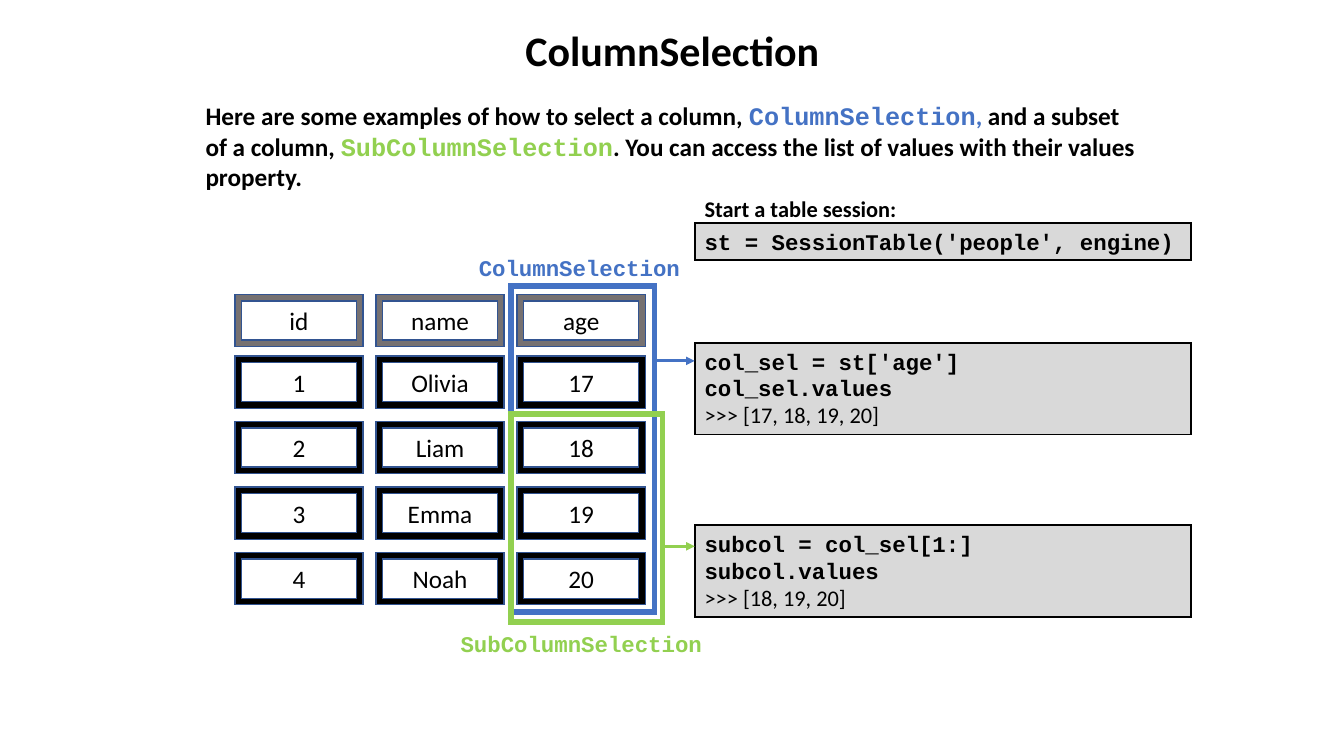
from lxml.etree import SubElement
from pptx import Presentation
from pptx.dml.color import RGBColor
from pptx.enum.shapes import MSO_CONNECTOR as Connector, MSO_SHAPE as Shape
from pptx.enum.text import MSO_ANCHOR as Anchor, MSO_AUTO_SIZE as AutoSize, PP_ALIGN as Align
from pptx.oxml.ns import qn
from pptx.util import Inches, Pt

BLACK = RGBColor(0x00, 0x00, 0x00)
BLUE = RGBColor(0x44, 0x72, 0xC4)
GREEN = RGBColor(0x92, 0xD0, 0x50)
CODE_GRAY = RGBColor(0xD9, 0xD9, 0xD9)
HEADER_GRAY = RGBColor(0x76, 0x71, 0x71)
CELL_EDGE = RGBColor(0x32, 0x54, 0x91)

TABLE = [
    ("id", "name", "age"),
    ("1", "Olivia", "17"),
    ("2", "Liam", "18"),
    ("3", "Emma", "19"),
    ("4", "Noah", "20"),
]
INTRO = [
    ("Here are some examples of how to select a column, ", False, BLACK),
    ("ColumnSelection", True, BLUE),
    (",", False, BLUE),
    (" and a subset of a column, ", False, BLACK),
    ("SubColumnSelection", True, GREEN),
    (". You can access the list of values with their values property.", False, BLACK),
]


class SlideBuilder:
    body_font = "Calibri"
    code_font = "Courier New"
    code_size = 16

    def __init__(self, slide):
        self.slide = slide

    def style_font(self, font, size, color=BLACK, bold=True, code=False):
        font.name = self.code_font if code else self.body_font
        font.size = Pt(size)
        font.bold = bold
        font.color.rgb = color

    def text(self, left, top, width, height, runs, size, align=Align.LEFT):
        box = self.slide.shapes.add_textbox(
            Inches(left), Inches(top), Inches(width), Inches(height))
        frame = box.text_frame
        frame.word_wrap = True
        frame.auto_size = AutoSize.SHAPE_TO_FIT_TEXT
        paragraph = frame.paragraphs[0]
        paragraph.alignment = align
        for words, code, color in runs:
            run = paragraph.add_run()
            run.text = words
            self.style_font(run.font, size, color, code=code)

    def shape(self, kind, left, top, width, height, fill, line, weight):
        shape = self.slide.shapes.add_shape(
            kind, Inches(left), Inches(top), Inches(width), Inches(height))
        shape.shadow.inherit = False
        if fill is None:
            shape.fill.background()
        else:
            shape.fill.solid()
            shape.fill.fore_color.rgb = fill
        shape.line.color.rgb = line
        shape.line.width = Pt(weight)
        SubElement(shape.line._get_or_add_ln(), qn("a:miter"), lim="800000")
        return shape

    def outline(self, left, top, width, height, color):
        self.shape(Shape.RECTANGLE, left, top, width, height, None, color, 4)

    def cell(self, left, top, label, fill):
        cell = self.shape(Shape.FRAME, left, top, 1.27, 0.52, fill, CELL_EDGE, 1)
        frame = cell.text_frame
        frame.text = label
        frame.vertical_anchor = Anchor.MIDDLE
        paragraph = frame.paragraphs[0]
        paragraph.alignment = Align.CENTER
        self.style_font(paragraph.runs[0].font, 18, bold=False)

    def code_box(self, top, height, lines):
        box = self.shape(
            Shape.RECTANGLE, 6.89, top, 4.92, height, CODE_GRAY, BLACK, 1.25)
        frame = box.text_frame
        frame.text = "\n".join(lines)
        frame.word_wrap = True
        frame.auto_size = AutoSize.SHAPE_TO_FIT_TEXT
        frame.vertical_anchor = Anchor.TOP
        for paragraph in frame.paragraphs:
            paragraph.alignment = Align.LEFT
            is_code = not paragraph.text.startswith(">>>")
            self.style_font(
                paragraph.runs[0].font, self.code_size, bold=is_code, code=is_code)

    def arrow(self, start, end, y, color):
        arrow = self.slide.shapes.add_connector(
            Connector.STRAIGHT, Inches(start), Inches(y), Inches(end), Inches(y))
        arrow.line.color.rgb = color
        arrow.line.width = Pt(2)
        SubElement(arrow.line._get_or_add_ln(), qn("a:tailEnd"), type="triangle")
        SubElement(arrow._element.spPr, qn("a:effectLst"))


def main():
    presentation = Presentation()
    presentation.slide_width = Inches(13.33)
    presentation.slide_height = Inches(7.5)
    builder = SlideBuilder(
        presentation.slides.add_slide(presentation.slide_layouts[6]))

    builder.outline(5.07, 2.84, 1.42, 3.23, BLUE)
    builder.text(3.28, 0.19, 6.78, 0.61,
                 [("ColumnSelection", False, BLACK)], 30, Align.CENTER)
    builder.code_box(
        5.21, 0.91, ["subcol = col_sel[1:]", "subcol.values", ">>> [18, 19, 20]"])
    builder.code_box(
        3.4, 0.91, ["col_sel = st['age']", "col_sel.values", ">>> [17, 18, 19, 20]"])
    builder.text(4.65, 2.47, 2.35, 0.37, [("ColumnSelection", True, BLUE)], 16)
    builder.arrow(6.49, 6.89, 3.58, BLUE)

    builder.outline(5.07, 4.11, 1.5, 2.06, GREEN)
    builder.arrow(6.55, 6.89, 5.42, GREEN)
    builder.text(4.47, 6.2, 2.7, 0.37, [("SubColumnSelection", True, GREEN)], 16)

    for row, labels in enumerate(TABLE):
        top = 2.88 + 0.65 * row if row else 2.92
        fill = BLACK if row else HEADER_GRAY
        for column, label in enumerate(labels):
            builder.cell(2.33 + 1.4 * column, top, label, fill)

    builder.code_box(2.21, 0.37, ["st = SessionTable('people', engine)"])
    builder.text(6.89, 1.89, 4.89, 0.37,
                 [("Start a table session:", False, BLACK)], 16)
    builder.text(1.94, 0.95, 9.46, 1.01, INTRO, 18)

    presentation.save("out.pptx")


if __name__ == "__main__":
    main()
